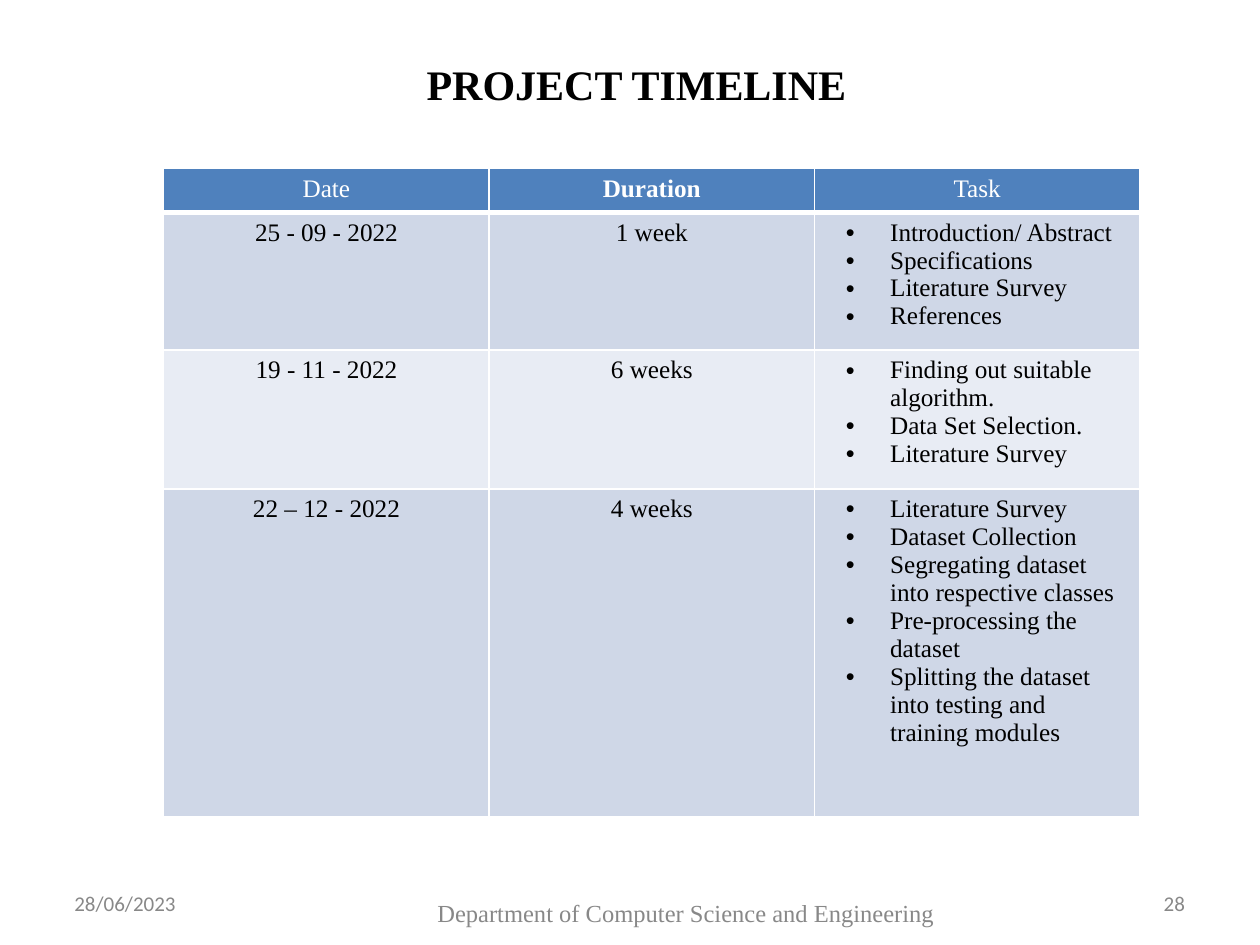
from dataclasses import dataclass

from lxml import etree
from pptx import Presentation
from pptx import util as u
from pptx.dml.color import RGBColor
from pptx.enum import text
from pptx.oxml.ns import qn

COLORS = {
    "black": "000000",
    "white": "FFFFFF",
    "grey": "888888",
    "header": "4F81BD",
    "band_dark": "CFD7E7",
    "band_light": "E8ECF4",
}
SERIF = "Times New Roman"
SANS = "Calibri"
LEFT, CENTER = text.PP_ALIGN.LEFT, text.PP_ALIGN.CENTER


@dataclass
class Stage:
    date: str
    duration: str
    tasks: list[str]
    height: float


@dataclass
class Label:
    content: str
    left: float
    top: float
    width: float
    height: float
    size: float
    font: str
    align: text.PP_ALIGN = LEFT


HEADERS = ["Date", "Duration", "Task"]
HEADER_HEIGHT = 0.88
COLUMN_WIDTH = 6.56
STAGES = [
    Stage("25 - 09 - 2022", "1 week",
          ["Introduction/ Abstract", "Specifications", "Literature Survey",
           "References"], 2.78),
    Stage("19 - 11 - 2022", "6 weeks",
          ["Finding out suitable algorithm.", "Data Set Selection.",
           "Literature Survey"], 2.8),
    Stage("22 – 12 - 2022", "4 weeks",
          ["Literature Survey", "Dataset Collection",
           "Segregating dataset into respective classes",
           "Pre-processing the dataset",
           "Splitting the dataset into testing and training modules"], 6.6),
]
FOOTERS = [
    Label("28/06/2023", 1.5, 17.96, 2.4, 0.53, 12, SANS),
    Label("28", 23.46, 17.96, 0.64, 0.53, 12, SANS),
    Label("Department of Computer Science and Engineering",
          6.96, 18.11, 13.74, 0.8, 14, SERIF, CENTER),
]


def write(p, content: str, *, size: float = 14.4, font: str = SERIF,
          color: str = "black", bold: bool = False, align=LEFT) -> None:
    p.alignment = align
    r = p.add_run()
    r.text = content
    r.font.size = u.Pt(size)
    r.font.name = font
    r.font.bold = bold
    r.font.color.rgb = RGBColor.from_string(COLORS[color])


def clear_margins(tf) -> None:
    tf.margin_left = tf.margin_right = tf.margin_top = tf.margin_bottom = 0
    tf.word_wrap = True
    tf.vertical_anchor = text.MSO_ANCHOR.TOP


def add_bullet(p) -> None:
    pPr = p._p.get_or_add_pPr()
    pPr.set("marL", str(u.Cm(1.27)))
    pPr.set("indent", str(u.Cm(-0.89)))
    etree.SubElement(pPr, qn("a:buFont"), typeface="Arial")
    etree.SubElement(pPr, qn("a:buChar"), char="•")


def style_cell(cell, fill: str, bottom: float = 1) -> None:
    tcPr = cell._tc.get_or_add_tcPr()
    for side, width in (("L", 1), ("R", 1), ("T", 1), ("B", bottom)):
        ln = etree.SubElement(tcPr, qn(f"a:ln{side}"), w=str(u.Pt(width)))
        solid = etree.SubElement(ln, qn("a:solidFill"))
        etree.SubElement(solid, qn("a:srgbClr"), val=COLORS["white"])
    cell.fill.solid()
    cell.fill.fore_color.rgb = RGBColor.from_string(COLORS[fill])


def add_title(slide) -> None:
    sp = slide.shapes.title
    sp.left, sp.top, sp.width, sp.height = (
        u.Cm(8.6), u.Cm(1.17), u.Cm(11.85), u.Cm(1.07))
    clear_margins(sp.text_frame)
    write(sp.text_frame.paragraphs[0], "PROJECT TIMELINE", size=24, bold=True)


def add_label(slide, label: Label) -> None:
    sp = slide.shapes.add_textbox(u.Cm(label.left), u.Cm(label.top),
                                  u.Cm(label.width), u.Cm(label.height))
    clear_margins(sp.text_frame)
    write(sp.text_frame.paragraphs[0], label.content, size=label.size,
          font=label.font, color="grey", align=label.align)


def add_timeline(slide) -> None:
    heights = [HEADER_HEIGHT] + [stage.height for stage in STAGES]
    table = slide.shapes.add_table(
        len(heights), len(HEADERS), u.Cm(3.3), u.Cm(3.4),
        u.Cm(COLUMN_WIDTH * len(HEADERS)), u.Cm(sum(heights))).table
    for column in table.columns:
        column.width = u.Cm(COLUMN_WIDTH)
    for row, height in zip(table.rows, heights):
        row.height = u.Cm(height)

    # Header row
    for cell, header in zip(table.rows[0].cells, HEADERS):
        style_cell(cell, "header", bottom=3)
        write(cell.text_frame.paragraphs[0], header, color="white",
              bold=header == "Duration", align=CENTER)

    # One banded row per stage
    for i, stage in enumerate(STAGES):
        cells = list(table.rows[i + 1].cells)
        for cell in cells:
            style_cell(cell, "band_light" if i % 2 else "band_dark")
        for cell, content in zip(cells, (stage.date, stage.duration)):
            write(cell.text_frame.paragraphs[0], content, align=CENTER)
        tf = cells[2].text_frame
        for j, task in enumerate(stage.tasks):
            p = tf.add_paragraph() if j else tf.paragraphs[0]
            write(p, task)
            add_bullet(p)


def main() -> None:
    prs = Presentation()
    prs.slide_width, prs.slide_height = u.Cm(25.4), u.Cm(19.05)
    slide = prs.slides.add_slide(prs.slide_layouts[5])
    add_title(slide)
    add_timeline(slide)
    for label in FOOTERS:
        add_label(slide, label)
    prs.save("out.pptx")


if __name__ == "__main__":
    main()
